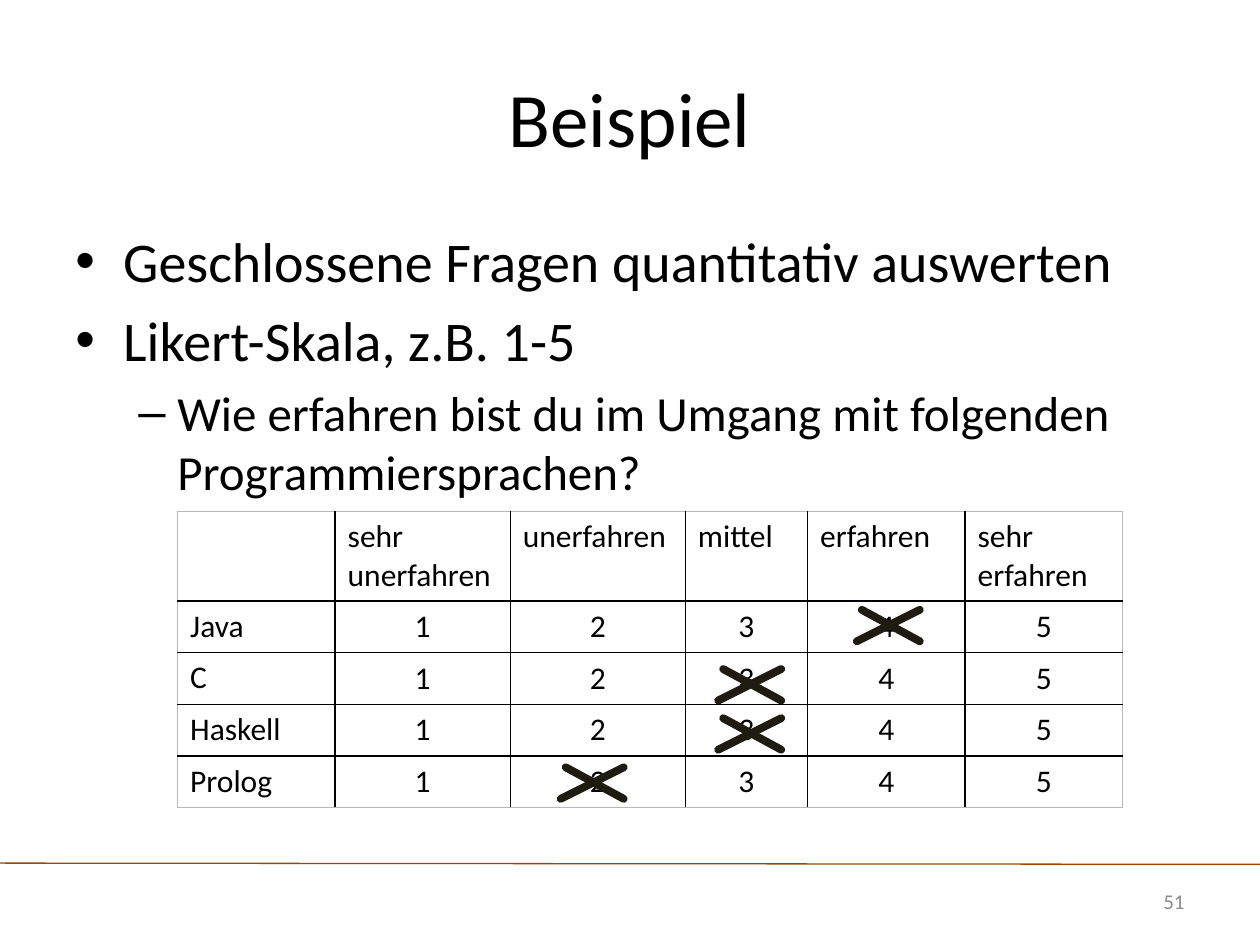
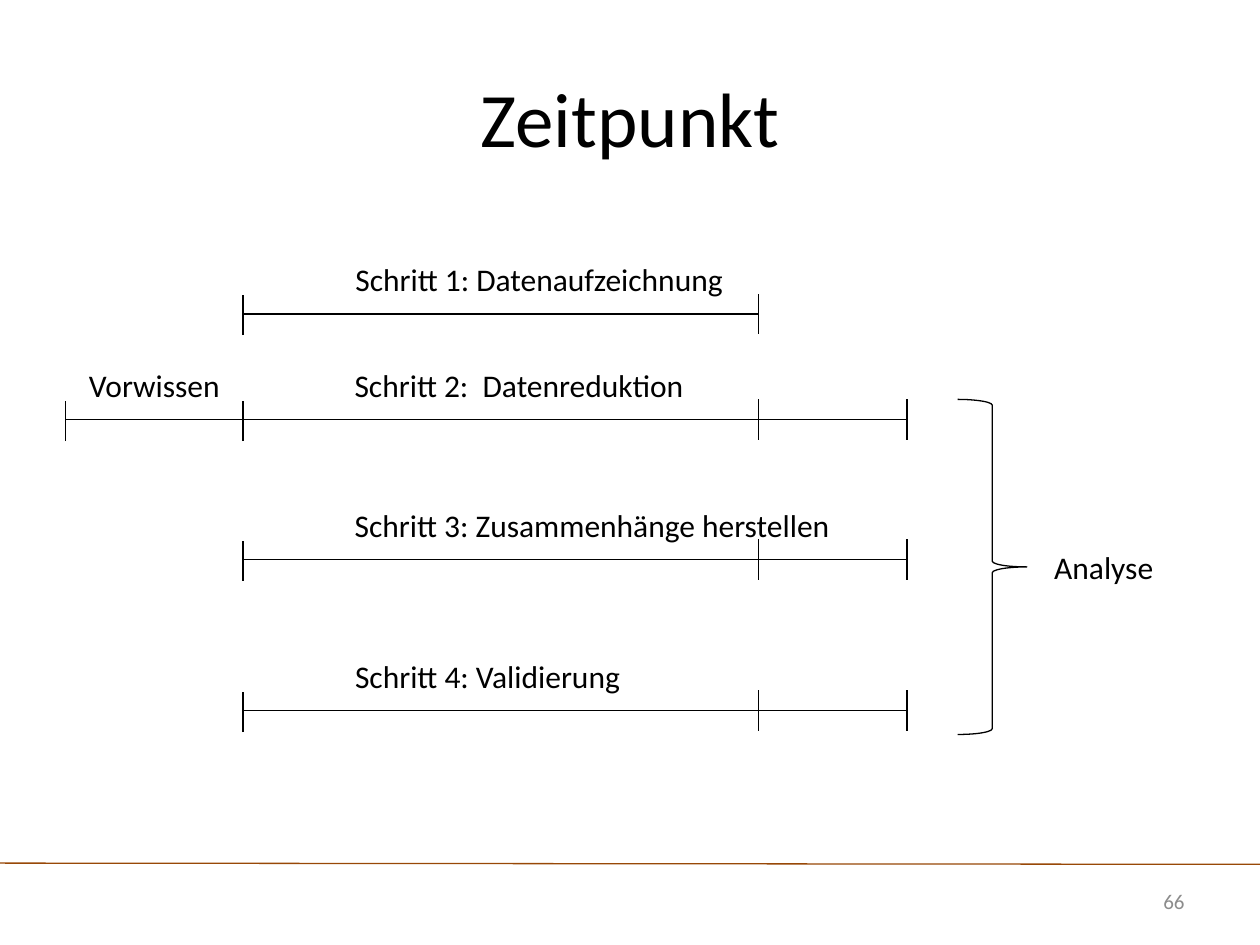
from pptx import Presentation
from pptx.dml.color import RGBColor as Rgb
from pptx.enum.shapes import MSO_CONNECTOR as Link, MSO_SHAPE as Form
from pptx.enum.text import MSO_ANCHOR as Anchor, PP_ALIGN as Align
from pptx.oxml.ns import qn
from pptx.util import Inches as Inch, Pt
from lxml.etree import SubElement as Sub, Element

WIDE, HIGH = 10, 7.5
FONT = "Calibri"
HUES = {"text": "000000", "rule": "984807", "page": "8C8C8C",
        "mark": "1E1C11", "frame": "B8B8B8"}

POINTS = [
    (0, "Geschlossene Fragen quantitativ auswerten"),
    (0, "Likert-Skala, z.B. 1-5"),
    (1, "Wie erfahren bist du im Umgang mit folgenden Programmiersprachen?"),
]
LEVELS = [("•", 0.38, 0.38, 32), ("–", 0.81, 0.31, 28)]

HEAD = ["", "sehr\nunerfahren", "unerfahren", "mittel", "erfahren", "sehr erfahren"]
LANGS = ["Java", "C", "Haskell", "Prolog"]
GRID = [HEAD] + [[lang] + [str(n) for n in range(1, 6)] for lang in LANGS]
COLS = [1.25, 1.39, 1.39, 0.97, 1.25, 1.25]
ROWS = [0.71] + [0.41] * len(LANGS)
CROSSES = [(6.8, 4.84), (5.7, 5.31), (5.7, 5.7), (4.45, 6.09)]

PRIOR, START, STOP, END = 0.52, 1.93, 6.02, 7.2
STEPS = [
    ("Schritt 1: Datenaufzeichnung", 2.6, 3.36, 2.49, [START, STOP]),
    ("Schritt 2:  Datenreduktion", 2.31, 3.62, 3.33, [PRIOR, START, STOP, END]),
    ("Schritt 3: Zusammenhänge herstellen", 2.67, 4.06, 4.44, [START, STOP, END]),
    ("Schritt 4: Validierung", 2.51, 2.72, 5.64, [START, STOP, END]),
]
LABEL, TICK = 0.55, 0.16


def style(para, size, hue="text", align=Align.LEFT):
    para.alignment = align
    for run in para.runs:
        font = run.font
        font.name, font.size = FONT, Pt(size)
        font.color.rgb = Rgb.from_string(HUES[hue])


def line(slide, x1, y1, x2, y2, hue="text", width=1.0, cap="flat"):
    link = slide.shapes.add_connector(
        Link.STRAIGHT, Inch(x1), Inch(y1), Inch(x2), Inch(y2))
    link.line.color.rgb = Rgb.from_string(HUES[hue])
    link.line.width = Pt(width)
    link.line._get_or_add_ln().set("cap", cap)
    Sub(link._element.spPr, qn("a:effectLst"))


def box(slide, x, y, w, h, anchor=Anchor.MIDDLE):
    frame = slide.shapes.add_textbox(Inch(x), Inch(y), Inch(w), Inch(h)).text_frame
    frame.word_wrap = True
    frame.vertical_anchor = anchor
    return frame


def label(slide, text, x, y, w, h=LABEL, size=18, hue="text", align=Align.CENTER):
    frame = box(slide, x, y, w, h)
    frame.text = text
    style(frame.paragraphs[0], size, hue, align)


def start(deck, title, page):
    slide = deck.slides.add_slide(deck.slide_layouts[5])
    line(slide, 0, 6.85, WIDE, 6.86, "rule", 0.75)
    head = slide.shapes.title
    head.left, head.top = Inch(0.5), Inch(0.3)
    head.width, head.height = Inch(WIDE - 1), Inch(1.25)
    head.text_frame.text = title
    head.text_frame.vertical_anchor = Anchor.MIDDLE
    style(head.text_frame.paragraphs[0], 44, align=Align.CENTER)
    label(slide, page, 8.59, 6.95, 0.91, 0.4, 12, "page", Align.RIGHT)
    return slide


def bullets(slide):
    frame = box(slide, 0.5, 1.75, WIDE - 1, 4.95, Anchor.TOP)
    for i, (level, text) in enumerate(POINTS):
        para = frame.add_paragraph() if i else frame.paragraphs[0]
        mark, left, hang, size = LEVELS[level]
        para.text, para.level = text, level
        if i:
            para.space_before = Pt(size * 0.2)
        props = para._p.get_or_add_pPr()
        props.set("marL", str(Inch(left)))
        props.set("indent", str(-Inch(hang)))
        Sub(props, qn("a:buFont")).set("typeface", "Arial")
        Sub(props, qn("a:buChar")).set("char", mark)
        style(para, size)


def border(cell, edges):
    props = cell._tc.get_or_add_tcPr()
    for i, (side, outer) in enumerate(zip("LRTB", edges)):
        edge = Element(qn("a:ln" + side), w=str(Pt(1)))
        fill = Sub(edge, qn("a:solidFill"))
        Sub(fill, qn("a:srgbClr")).set("val", HUES["frame" if outer else "text"])
        props.insert(i, edge)


def scale(slide):
    table = slide.shapes.add_table(
        len(ROWS), len(COLS), Inch(1.41), Inch(4.06),
        Inch(sum(COLS)), Inch(sum(ROWS))).table
    table.first_row = table.horz_banding = False
    for col, width in zip(table.columns, COLS):
        col.width = Inch(width)
    for row, height in zip(table.rows, ROWS):
        row.height = Inch(height)
    for r, texts in enumerate(GRID):
        for c, text in enumerate(texts):
            cell = table.cell(r, c)
            cell.fill.background()
            border(cell, (c == 0, c == len(COLS) - 1, r == 0, r == len(ROWS) - 1))
            cell.text_frame.text = text
            score = r > 0 and c > 0
            cell.vertical_anchor = Anchor.MIDDLE if score else Anchor.TOP
            for para in cell.text_frame.paragraphs:
                style(para, 18, align=Align.CENTER if score else Align.LEFT)


def sample(deck):
    slide = start(deck, "Beispiel", "51")
    bullets(slide)
    scale(slide)
    for x, y in CROSSES:
        for x1, x2 in ((x, x + 0.5), (x + 0.5, x + 0.04)):
            line(slide, x1, y + 0.25, x2, y, "mark", 4.5, "rnd")


def timing(deck):
    slide = start(deck, "Zeitpunkt", "66")
    for text, x, width, y, ticks in STEPS:
        line(slide, ticks[0], y, ticks[-1], y)
        for tick in ticks:
            mid = y + 0.01 * (tick < STOP)
            line(slide, tick, mid + TICK, tick, mid - TICK)
        label(slide, text, x, y - LABEL, width)
    label(slide, "Vorwissen", PRIOR, STEPS[1][3] - LABEL, START - PRIOR)
    brace = slide.shapes.add_shape(
        Form.RIGHT_BRACE, Inch(7.6), Inch(3.17), Inch(0.55), Inch(2.66))
    brace.shadow.inherit = False
    brace.fill.background()
    brace.line.color.rgb = Rgb.from_string(HUES["text"])
    brace.line.width = Pt(0.75)
    label(slide, "Analyse", 8.07, 4.22, 1.38)


def main():
    deck = Presentation()
    deck.slide_width, deck.slide_height = Inch(WIDE), Inch(HIGH)
    sample(deck)
    timing(deck)
    deck.save("out.pptx")


if __name__ == "__main__":
    main()
